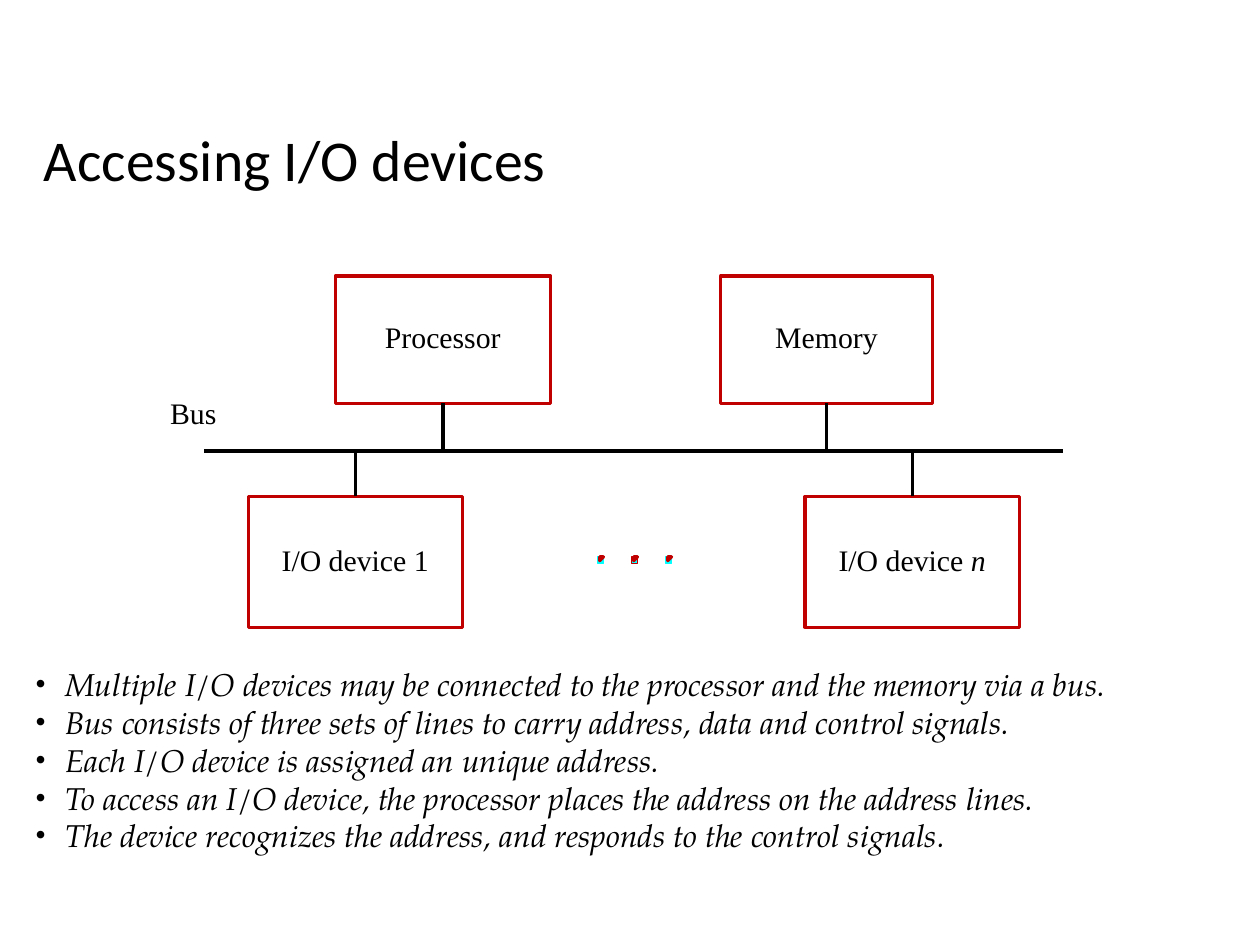
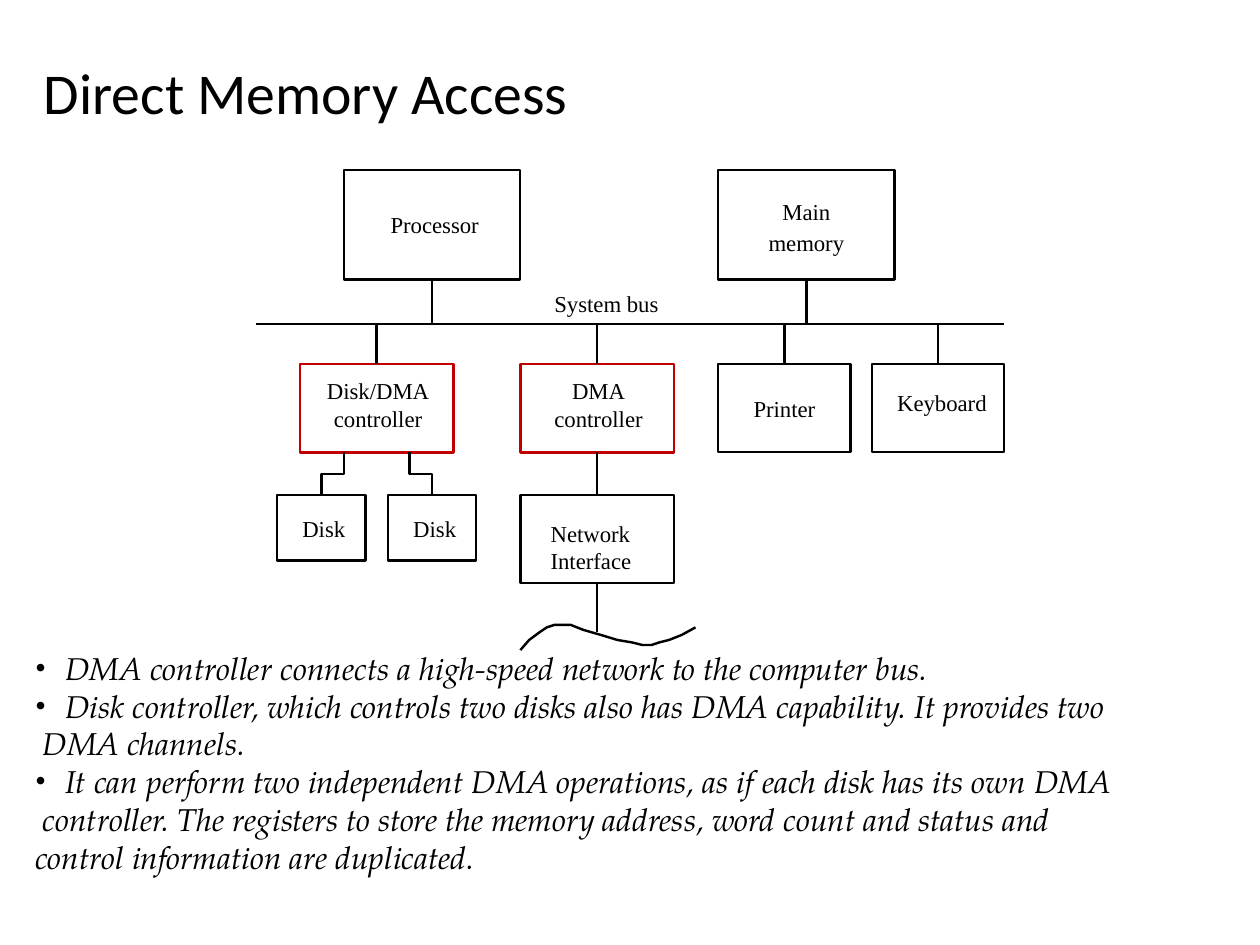
from lxml import etree
from pptx import Presentation
from pptx import util as u
from pptx.dml.color import RGBColor
from pptx.enum import shapes, text
from pptx.oxml.ns import qn

COLORS = {"ink": "000000", "paper": "FFFFFF", "accent": "C00000", "dot": "00FFFF"}
TITLE_FONT, BODY_FONT, LABEL_FONT = "Calibri", "TeX Gyre Pagella", "Times New Roman"
BULLET_INDENT = 0.24

ACCESS_POINTS = [
    ("•", "Multiple I/O devices may be connected to the processor and the memory via a bus."),
    ("•", "Bus consists of three sets of lines to carry address, data and control signals."),
    ("•", "Each I/O device is assigned an unique address."),
    ("•", "To access an I/O device, the processor places the address on the address lines."),
    ("•", "The device recognizes the address, and responds to the control signals."),
]
DMA_POINTS = [
    ("•", "DMA controller connects a high-speed network to the computer bus."),
    ("•", "Disk controller, which controls two disks also has DMA capability. It provides two"),
    (0.06, "DMA channels."),
    ("•", "It can perform two independent DMA operations, as if each disk has its own DMA"),
    (0.06, "controller. The registers to store the memory address, word count and status and"),
    (0, "control information are duplicated."),
]
NETWORK_WAVE = [
    (0, 0.2), (0.07, 0.12), (0.15, 0.06), (0.21, 0.02), (0.27, 0), (0.4, 0),
    (0.5, 0.04), (0.64, 0.08), (0.77, 0.12), (0.89, 0.14), (0.97, 0.16),
    (1.04, 0.16), (1.1, 0.14), (1.18, 0.12), (1.28, 0.08), (1.39, 0.02),
]


def rgb(name):
    """Return the named colour."""
    return RGBColor.from_string(COLORS[name])


def add_span(para, words, font, size, italic=False):
    """Add one run of styled text."""
    span = para.add_run()
    span.text = words
    span.font.name, span.font.size = font, u.Pt(size)
    span.font.italic = italic
    span.font.color.rgb = rgb("ink")


def paint(shape, line, width, fill=None):
    """Set the outline and fill of a shape without a shadow."""
    shape.shadow.inherit = False
    shape.line.color.rgb = rgb(line)
    shape.line.width = u.Pt(width)
    if fill:
        shape.fill.solid()
        shape.fill.fore_color.rgb = rgb(fill)
    else:
        shape.fill.background()


def add_text_box(page, area):
    """Add a wrapping text box and return its frame."""
    frame = page.shapes.add_textbox(*map(u.Inches, area)).text_frame
    frame.word_wrap = True
    return frame


def add_title(page, area, words):
    """Add the slide title."""
    frame = add_text_box(page, area)
    frame.vertical_anchor = text.MSO_ANCHOR.MIDDLE
    para = frame.paragraphs[0]
    para.line_spacing = 0.9
    add_span(para, words, TITLE_FONT, 33)


def add_points(page, area, points):
    """Add the notes below a diagram, bulleted or indented."""
    frame = add_text_box(page, area)
    for index, (lead, words) in enumerate(points):
        para = frame.paragraphs[0] if index == 0 else frame.add_paragraph()
        add_span(para, words, BODY_FONT, 18, italic=True)
        props = para._p.get_or_add_pPr()
        if lead == "•":
            props.set("marL", str(u.Inches(BULLET_INDENT)))
            props.set("indent", str(-u.Inches(BULLET_INDENT)))
            etree.SubElement(props, qn("a:buFont"), typeface=LABEL_FONT)
            etree.SubElement(props, qn("a:buChar"), char=lead)
        else:
            props.set("marL", str(u.Inches(lead)))
            props.set("indent", "0")


def add_label(page, area, words, size):
    """Add a small caption without margins."""
    frame = add_text_box(page, area)
    frame.margin_left = frame.margin_top = frame.margin_right = frame.margin_bottom = 0
    frame.word_wrap = False
    add_span(frame.paragraphs[0], words, LABEL_FONT, size)


def add_unit(page, area, lines, size, line, width, fill=None, nudge=(0, 0), pitch=None, align="CENTER"):
    """Add a labelled box; each line is a list of (words, italic) or a string."""
    box = page.shapes.add_shape(shapes.MSO_SHAPE.RECTANGLE, *map(u.Inches, area))
    paint(box, line, width, fill)
    frame = box.text_frame
    frame.word_wrap = False
    frame.vertical_anchor = text.MSO_ANCHOR.MIDDLE
    across, down = nudge
    frame.margin_left = u.Inches(max(2 * across, 0))
    frame.margin_right = u.Inches(max(-2 * across, 0))
    frame.margin_top = u.Inches(max(2 * down, 0))
    frame.margin_bottom = u.Inches(max(-2 * down, 0))
    for index, line_spans in enumerate(lines):
        para = frame.paragraphs[0] if index == 0 else frame.add_paragraph()
        para.alignment = getattr(text.PP_ALIGN, align)
        if pitch:
            para.line_spacing = u.Pt(pitch)
        spans = [(line_spans, False)] if isinstance(line_spans, str) else line_spans
        for words, italic in spans:
            add_span(para, words, LABEL_FONT, size, italic)
    return box


def add_line(page, start, end, width):
    """Add a straight black line between two points in inches."""
    line = page.shapes.add_connector(shapes.MSO_CONNECTOR.STRAIGHT, *map(u.Inches, (*start, *end)))
    line.line.color.rgb = rgb("ink")
    line.line.width = u.Pt(width)
    etree.SubElement(line._element.spPr, qn("a:effectLst"))
    return line


def add_stub(page, box, side, end_y, width):
    """Join the top (0) or bottom (2) of a box to a height straight above or below."""
    x = (box.left + box.width / 2) / u.Inches(1)
    y = (box.top + (box.height if side == 2 else 0)) / u.Inches(1)
    line = add_line(page, (x, y), (x, end_y), width)
    line.begin_connect(box, side)
    return line


def add_outline(page, origin, points, line, width, fill=None, close=False):
    """Add a freeform through points given relative to an origin."""
    corners = [(u.Inches(origin[0] + x), u.Inches(origin[1] + y)) for x, y in points]
    builder = page.shapes.build_freeform(*corners[0], scale=1.0)
    builder.add_line_segments(corners[1:], close=close)
    paint(builder.convert_to_shape(), line, width, fill)


def add_dots(page, left, top):
    """Add the three dots that stand for further devices."""
    square = [(0, 0), (0.05, 0), (0.05, 0.05), (0, 0.05)]
    wedge = [(0.02, 0), (0.02, 0.03), (0.05, 0)]
    for index, edge in enumerate(("dot", "accent", "dot")):
        origin = (left + index * 0.27, top)
        add_outline(page, origin, square, edge, 0, "dot", close=True)
        add_outline(page, origin, wedge, "accent", 1.87, "accent", close=True)


def add_access_diagram(page, left, top):
    """Draw the processor, memory and devices on one bus."""
    size, width, bus_y = 17, 1.87, top + 1.39
    add_line(page, (left + 0.27, bus_y), (left + 7.09, bus_y), width)
    add_label(page, (left, top + 0.94, 0.37, 0.28), "Bus", size)
    units = [
        (1.31, 0, 1.71, 1.01, "Processor", 2),
        (4.37, 0, 1.68, 1.01, "Memory", 2),
        (0.62, 1.75, 1.7, 1.04, "I/O device 1", 0),
        (5.04, 1.75, 1.7, 1.04, [("I/O device ", False), ("n", True)], 0),
    ]
    for x, y, wide, high, words, side in units:
        box = add_unit(page, (left + x, top + y, wide, high), [words], size,
                       "accent", width, nudge=(0, -0.02))
        add_stub(page, box, side, bus_y, width)
    add_dots(page, left + 3.39, top + 2.23)


def add_dma_diagram(page, left, top):
    """Draw the system bus with its controllers, disks and network."""
    size, width, bus_y = 13, 1.39, top + 1.22
    unit_y, lower_y = 1.54, 2.58

    def unit(x, y, wide, high, lines, line="ink", **options):
        """Add a box at an offset inside the diagram."""
        weight = 1.5 if line == "accent" else width
        return add_unit(page, (left + x, top + y, wide, high), lines, size,
                        line, weight, "paper", **options)

    add_line(page, (left, bus_y), (left + 5.94, bus_y), width)
    add_label(page, (left + 2.37, top + 0.95, 0.83, 0.22), "System bus", size)

    processor = unit(0.7, 0, 1.4, 0.87, ["Processor"], nudge=(0.02, 0))
    memory = unit(3.67, 0, 1.4, 0.87, ["Main", "memory"], pitch=18)
    disk_control = unit(0.35, unit_y, 1.22, 0.7, ["Disk/DMA", "controller"], "accent", nudge=(0.01, -0.03))
    dma_control = unit(2.1, unit_y, 1.22, 0.7, ["DMA", "controller"], "accent", nudge=(0.01, -0.03))
    printer = unit(3.67, unit_y, 1.05, 0.7, ["Printer"])
    keyboard = unit(4.89, unit_y, 1.05, 0.7, ["Keyboard"], nudge=(0.03, -0.05))
    for box in (processor, memory):
        add_stub(page, box, 2, bus_y, width)
    for box in (disk_control, dma_control, printer, keyboard):
        add_stub(page, box, 0, bus_y, width)

    for x, port_x in ((0.17, 0.7), (1.05, 1.22)):
        unit(x, lower_y, 0.7, 0.52, ["Disk"], nudge=(0.02, 0))
        middle = x + 0.35
        elbow = [(middle, lower_y), (middle, 2.41), (port_x, 2.41), (port_x, unit_y + 0.7)]
        add_outline(page, (left, top), elbow, "ink", width)

    network = unit(2.1, lower_y, 1.22, 0.7, ["Network", "Interface"], nudge=(0.12, 0.06), align="LEFT")
    add_stub(page, dma_control, 2, top + lower_y, width).end_connect(network, 0)
    add_stub(page, network, 2, top + 3.67, width)
    add_outline(page, (left + 2.1, top + 3.61), NETWORK_WAVE, "ink", width)


def main():
    """Build both slides and save the deck."""
    deck = Presentation()
    deck.slide_width, deck.slide_height = u.Inches(10), u.Inches(7.5)
    blank = deck.slide_layouts[6]

    page = deck.slides.add_slide(blank)
    add_title(page, (0.25, 0.67, 9.08, 1.25), "Accessing I/O devices")
    add_access_diagram(page, 1.35, 2.19)
    add_points(page, (0.18, 5.23, 9.77, 1.6), ACCESS_POINTS)

    page = deck.slides.add_slide(blank)
    add_title(page, (0.25, 0.25, 9.08, 1.02), "Direct Memory Access")
    add_dma_diagram(page, 2.03, 1.35)
    add_points(page, (0.18, 5.1, 9.82, 1.9), DMA_POINTS)

    deck.save("out.pptx")


if __name__ == "__main__":
    main()
